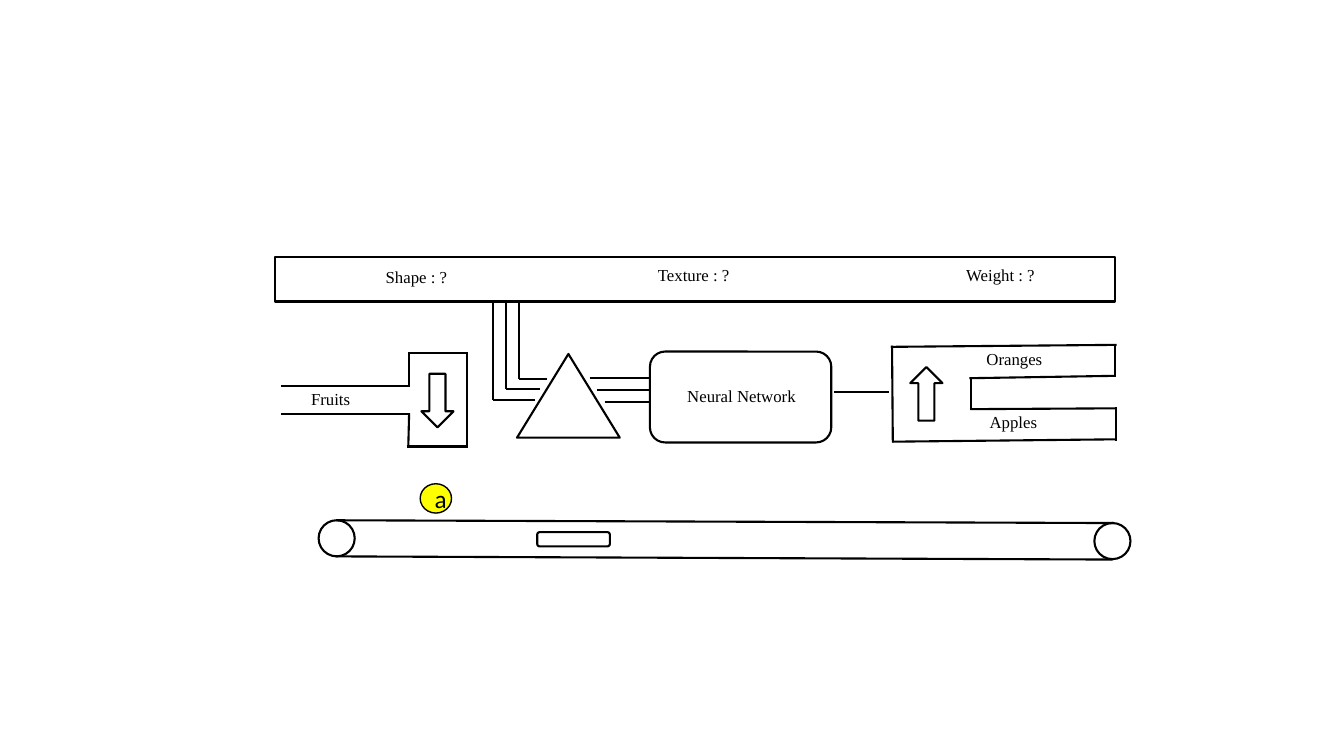
"""Build a slide of a fruit sorter driven by a neural network."""
from lxml import etree
from pptx import Presentation
from pptx.dml.color import RGBColor
from pptx.enum.shapes import MSO_CONNECTOR, MSO_SHAPE
from pptx.enum.text import MSO_ANCHOR, MSO_AUTO_SIZE, PP_ALIGN
from pptx.oxml.ns import qn
from pptx.util import Cm, Pt

STRAIGHT = MSO_CONNECTOR.STRAIGHT
RECTANGLE = MSO_SHAPE.RECTANGLE
ROUNDED = MSO_SHAPE.ROUNDED_RECTANGLE
PROCESS = MSO_SHAPE.FLOWCHART_ALTERNATE_PROCESS
TRIANGLE = MSO_SHAPE.ISOSCELES_TRIANGLE
ARROW = MSO_SHAPE.DOWN_ARROW
OVAL = MSO_SHAPE.OVAL
MIDDLE = MSO_ANCHOR.MIDDLE
CENTER = PP_ALIGN.CENTER
FIT_SHAPE = MSO_AUTO_SIZE.SHAPE_TO_FIT_TEXT

INK, PAPER, YELLOW = "000000", "FFFFFF", "FFFF00"


def color(value):
    return RGBColor.from_string(value)


def apply(target, formats):
    for name, value in formats.items():
        setattr(target, name, value)


class Sketch:
    def __init__(self, page):
        self.page = page
        self.stroke = 1.5
        self.label_font = {"name": "Times New Roman", "size": Pt(12)}
        self.fruit_font = {"name": "Calibri", "size": Pt(18)}

    def outline(self, line, weight):
        line.color.rgb = color(INK)
        line.width = Pt(weight)

    def add_span(self, para, text, font):
        span = para.add_run()
        span.text = text
        apply(span.font, font)
        span.font.color.rgb = color(INK)

    def shape(self, kind, left, top, width, height, fill=PAPER, weight=None, rotation=0):
        box = self.page.shapes.add_shape(kind, Cm(left), Cm(top), Cm(width), Cm(height))
        box.fill.solid()
        box.fill.fore_color.rgb = color(fill)
        box.shadow.inherit = False
        box.rotation = rotation
        self.outline(box.line, weight or self.stroke)
        return box

    def line(self, x1, y1, x2, y2):
        connector = self.page.shapes.add_connector(STRAIGHT, Cm(x1), Cm(y1), Cm(x2), Cm(y2))
        self.outline(connector.line, self.stroke)
        etree.SubElement(connector._element.spPr, qn("a:effectLst"))

    def label(self, text, left, top, width):
        box = self.page.shapes.add_textbox(Cm(left), Cm(top), Cm(width), Cm(0.76))
        apply(box.text_frame, {"word_wrap": True, "auto_size": FIT_SHAPE})
        self.add_span(box.text_frame.paragraphs[0], text, self.label_font)

    def fruit(self, text, left, top, width, height):
        box = self.shape(OVAL, left, top, width, height, YELLOW, 1)
        apply(box.text_frame, {"vertical_anchor": MIDDLE, "word_wrap": True})
        para = box.text_frame.paragraphs[0]
        para.alignment = CENTER
        self.add_span(para, text, self.fruit_font)


FEEDER = [
    (7.09, 9.73, 10.29, 9.73),
    (7.09, 10.44, 10.29, 10.44),
    (10.31, 9.75, 10.31, 8.89),
    (10.29, 8.89, 11.79, 8.89),
    (11.76, 8.89, 11.76, 11.28),
    (10.26, 11.25, 11.79, 11.25),
    (10.29, 11.28, 10.31, 10.41),
]
SORTER = [
    (22.48, 8.71, 22.5, 11.15),
    (22.48, 11.13, 28.14, 11.07),
    (28.12, 11.1, 28.12, 10.26),
    (28.14, 10.29, 24.46, 10.31),
    (24.46, 10.34, 24.46, 9.5),
    (28.12, 9.47, 24.43, 9.53),
    (28.09, 9.5, 28.09, 8.66),
    (22.45, 8.74, 28.14, 8.69),
]
LABELS = [
    ("Shape : ?", 9.47, 6.6, 2.46),
    ("Texture : ?", 16.33, 6.55, 2.46),
    ("Weight : ?", 24.1, 6.55, 2.46),
    ("Neural Network", 17.07, 9.6, 3.45),
    ("Oranges", 24.61, 8.66, 3.45),
    ("Apples", 24.69, 10.24, 3.45),
    ("Fruits", 7.59, 9.68, 2.08),
]
TRIANGLE_SIDES = [(13.79, 14.86), (13.61, 15.04), (13.49, 15.24)]
BELT = [(8.48, 13.11, 28.07, 13.18), (8.46, 14.02, 28.04, 14.1)]


def main():
    deck = Presentation()
    apply(deck, {"slide_width": Cm(33.87), "slide_height": Cm(19.05)})
    sketch = Sketch(deck.slides.add_slide(deck.slide_layouts[6]))

    sketch.shape(RECTANGLE, 6.93, 6.48, 21.18, 1.12)
    sketch.shape(TRIANGLE, 13.03, 8.92, 2.59, 2.11)
    sketch.shape(PROCESS, 16.38, 8.86, 4.57, 2.29)
    for edge in FEEDER + SORTER:
        sketch.line(*edge)
    sketch.shape(ARROW, 10.62, 9.42, 0.81, 1.35)
    sketch.shape(ARROW, 22.94, 9.25, 0.81, 1.35, rotation=180)
    for label in LABELS:
        sketch.label(*label)

    for index, (left_side, right_side) in enumerate(TRIANGLE_SIDES):
        x, y = 13.08 - 0.33 * index, 9.55 + 0.26 * index
        sketch.line(x, 7.62, x, y)
        sketch.line(x, y, left_side, y)
        exit_y = 9.53 + 0.3 * index
        sketch.line(right_side, exit_y, 16.38, exit_y)
    sketch.line(21.03, 9.88, 22.4, 9.88)

    for left, top in [(8.03, 13.11), (27.58, 13.18)]:
        sketch.shape(OVAL, left, top, 0.91, 0.91)
    for edge in BELT:
        sketch.line(*edge)
    sketch.shape(ROUNDED, 13.54, 13.41, 1.83, 0.36)
    sketch.fruit("a", 10.59, 12.19, 0.79, 0.74)

    deck.save("out.pptx")


if __name__ == "__main__":
    main()
